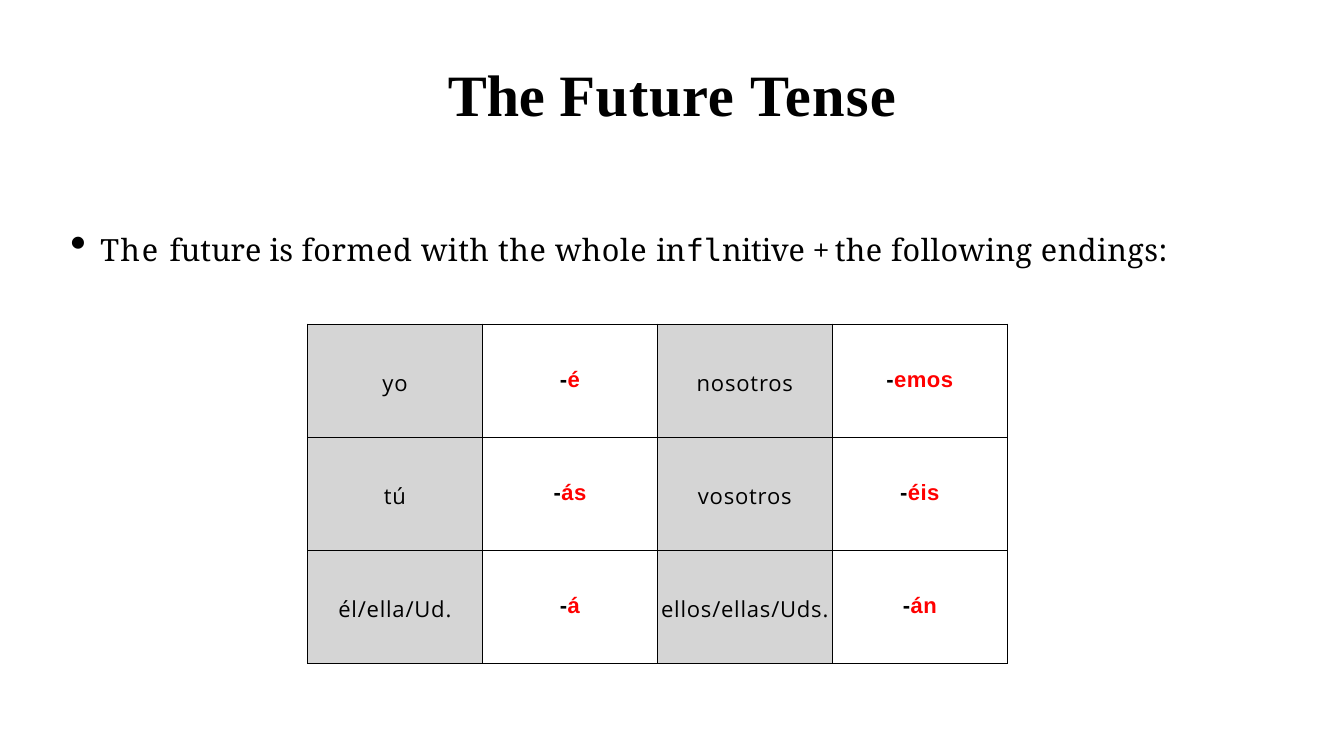
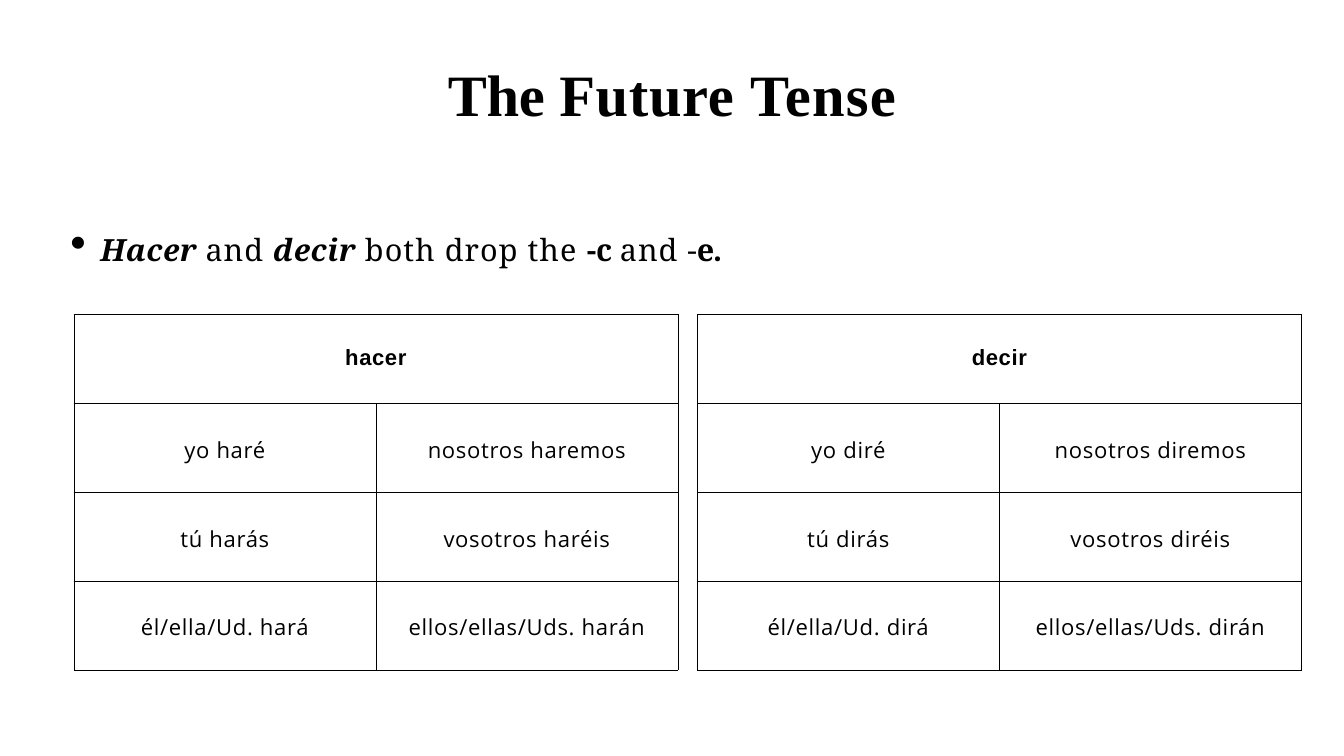
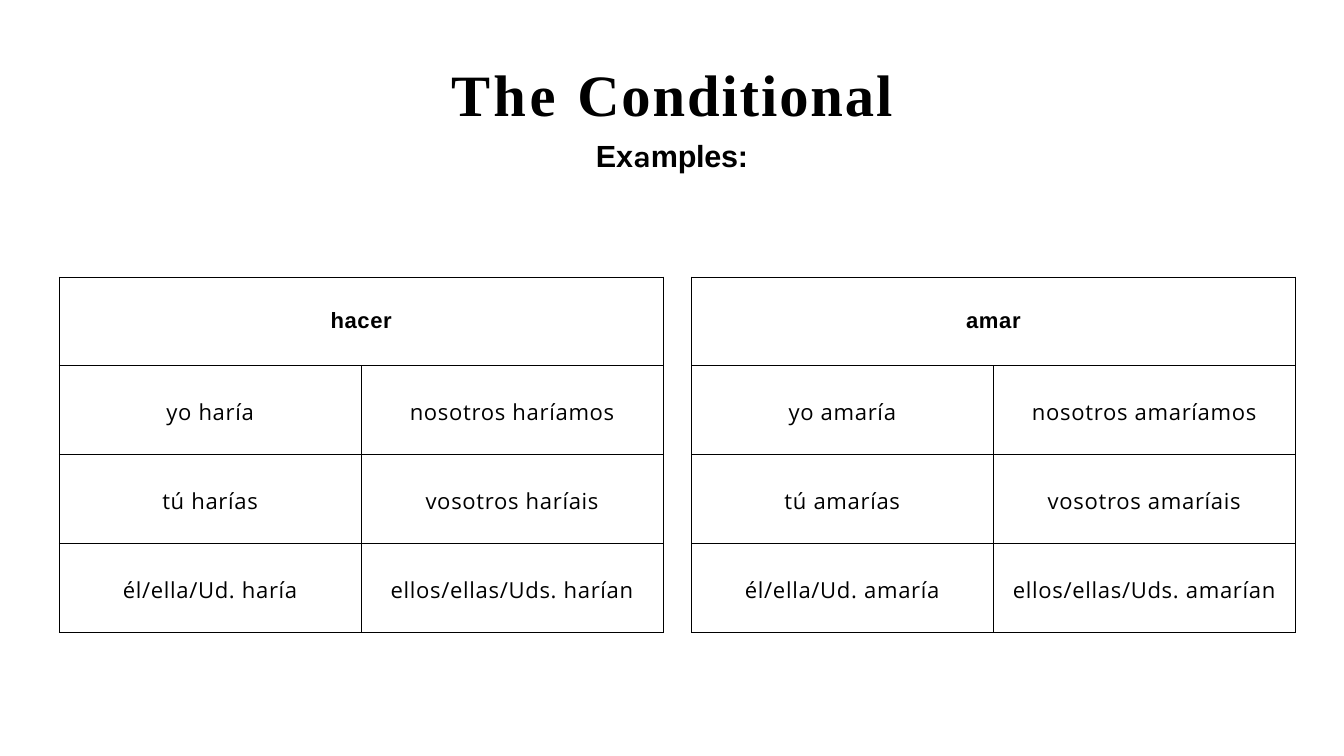
from lxml import etree
from pptx import Presentation
from pptx.dml.color import RGBColor
from pptx.enum import text
from pptx.oxml import ns
from pptx.util import Cm, Pt

BLACK, RED, GREY = "000000", "FF0000", "D5D5D5"
SERIF, BODY, SANS, CELL = "Times New Roman", "Noto Serif", "Arial", "Open Sans"
STRONG = {"bold": True}
KEYWORD = {"bold": True, "italic": True}

FUTURE = [("The ", -0.3), ("Future ", 0.8), ("Tense", 1.5)]
CONDITIONAL = [("The ", 4.1), ("Conditional", 2.3)]
EXAMPLES = [("Ex", -0.3), ("a", -0.3, {"name": "Karla"}), ("mples:", -0.3)]

ENDINGS_RULE = [
    ("The ", 2), ("future is ", 0.1), ("formed with the whole ", 0.75),
    ("in", -0.3), ("fl", -0.3, {"name": "DejaVu Sans Mono"}), ("nitive ", -0.3),
    ("+ ", -3.4), ("the following endings:", 0.55),
]
DROP_RULE = [
    ("Hacer ", 0.5, KEYWORD), ("and ", 1.1), ("decir ", 0.7, KEYWORD),
    ("both drop the ", 1.3), ("-c ", -0.3, STRONG), ("and ", 1.1),
    ("-", -1.4), ("e.", -1.4, STRONG),
]

PERSONS = [("yo", "nosotros"), ("tú", "vosotros"), ("él/ella/Ud.", "ellos/ellas/Uds.")]
ENDINGS = [("é", "emos"), ("ás", "éis"), ("á", "án")]
HACER_FUTURE = ("hacer", [("haré", "haremos"), ("harás", "haréis"), ("hará", "harán")])
DECIR_FUTURE = ("decir", [("diré", "diremos"), ("dirás", "diréis"), ("dirá", "dirán")])
HACER_CONDITIONAL = ("hacer", [("haría", "haríamos"), ("harías", "haríais"), ("haría", "harían")])
AMAR_CONDITIONAL = ("amar", [("amaría", "amaríamos"), ("amarías", "amaríais"), ("amaría", "amarían")])

deck = Presentation()
deck.slide_width, deck.slide_height = Cm(55.85), Cm(31.42)


def color(value):
    return RGBColor.from_string(value)


def write(para, spans, name, size, bold=False, centred=True):
    para.alignment = text.PP_ALIGN.CENTER if centred else text.PP_ALIGN.LEFT
    para.font.name, para.font.size, para.font.bold = name, Pt(size), bold
    para.font.color.rgb = color(BLACK)
    for words, spacing, *changes in spans:
        span = para.add_run()
        span.text = words
        span._r.get_or_add_rPr().set("spc", str(round(spacing * 100)))
        for key, value in (changes[0] if changes else {}).items():
            if key == "color":
                span.font.color.rgb = color(value)
            else:
                setattr(span.font, key, value)


def prepare_frame(shape):
    frame = shape.text_frame
    frame.word_wrap = True
    frame.auto_size = text.MSO_AUTO_SIZE.NONE
    frame.vertical_anchor = text.MSO_ANCHOR.TOP
    frame.margin_left = frame.margin_right = frame.margin_bottom = 0
    frame.margin_top = Cm(0.05)
    return frame


def add_page(title, subtitle=None):
    page = deck.slides.add_slide(deck.slide_layouts[5])
    box = page.shapes.title
    box.left, box.top = Cm(10.03), Cm(2.34)
    box.width, box.height = Cm(35.79), Cm(4.9 if subtitle else 3)
    frame = prepare_frame(box)
    write(frame.paragraphs[0], title, SERIF, 69, bold=True)
    if subtitle:
        para = frame.add_paragraph()
        para.space_before = Pt(10.9)
        write(para, subtitle, SANS, 36, bold=True)
    return page


def add_bullet(page, spans):
    box = page.shapes.add_textbox(Cm(2.87), Cm(9.53), Cm(50.67), Cm(1.6))
    para = prepare_frame(box).paragraphs[0]
    write(para, spans, BODY, 36, centred=False)
    props = para._p.get_or_add_pPr()
    props.set("marL", str(Cm(1.3)))
    props.set("indent", str(-Cm(1.24)))
    size = etree.Element(ns.qn("a:buSzPct"), val="151000")
    mark = etree.Element(ns.qn("a:buChar"), char="•")
    props.insert(0, size)
    props.insert(1, mark)


def add_borders(cell):
    props = cell._tc.get_or_add_tcPr()
    for side in ("lnL", "lnR", "lnT", "lnB"):
        line = etree.SubElement(props, ns.qn("a:" + side), w=str(Pt(1)))
        fill = etree.SubElement(line, ns.qn("a:solidFill"))
        etree.SubElement(fill, ns.qn("a:srgbClr"), val=BLACK)


def add_grid(page, left, top, col_width, row_height, rows, columns, text_top):
    frame = page.shapes.add_table(
        rows, columns, Cm(left), Cm(top), Cm(col_width * columns), Cm(row_height * rows))
    table = frame.table
    table.first_row = table.horz_banding = False
    for column in table.columns:
        column.width = Cm(col_width)
    for row in table.rows:
        row.height = Cm(row_height)
    for cell in table.iter_cells():
        cell.margin_left = cell.margin_right = cell.margin_bottom = 0
        cell.margin_top = Cm(text_top)
        add_borders(cell)
        cell.fill.background()
    return table


def write_cell(cell, spans, name=CELL, bold=False):
    write(cell.text_frame.paragraphs[0], spans, name, 26, bold)


def add_endings(page):
    table = add_grid(page, 12.78, 13.46, 7.27, 4.7, 3, 4, text_top=1.82)
    for row, (persons, endings) in enumerate(zip(PERSONS, ENDINGS)):
        for pair, (person, ending) in enumerate(zip(persons, endings)):
            label = table.cell(row, 2 * pair)
            label.fill.solid()
            label.fill.fore_color.rgb = color(GREY)
            write_cell(label, [(person, 0.9)])
            spans = [("-", 0.5), (ending, 0.5, {"color": RED})]
            write_cell(table.cell(row, 2 * pair + 1), spans, SANS, True)


def add_verb(page, left, top, verb):
    infinitive, forms = verb
    table = add_grid(page, left, top, 12.55, 3.69, 4, 2, text_top=1.3)
    header = table.cell(0, 0)
    header.merge(table.cell(0, 1))
    write_cell(header, [(infinitive, 0.7)], SANS, True)
    for row, (persons, row_forms) in enumerate(zip(PERSONS, forms), 1):
        for column, words in enumerate(zip(persons, row_forms)):
            write_cell(table.cell(row, column), [(" ".join(words), 0.8)])


endings_page = add_page(FUTURE)
add_bullet(endings_page, ENDINGS_RULE)
add_endings(endings_page)

irregular_page = add_page(FUTURE)
add_bullet(irregular_page, DROP_RULE)
add_verb(irregular_page, 3.07, 13.08, HACER_FUTURE)
add_verb(irregular_page, 28.98, 13.08, DECIR_FUTURE)

conditional_page = add_page(CONDITIONAL, EXAMPLES)
add_verb(conditional_page, 2.46, 11.51, HACER_CONDITIONAL)
add_verb(conditional_page, 28.73, 11.51, AMAR_CONDITIONAL)

deck.save("out.pptx")
